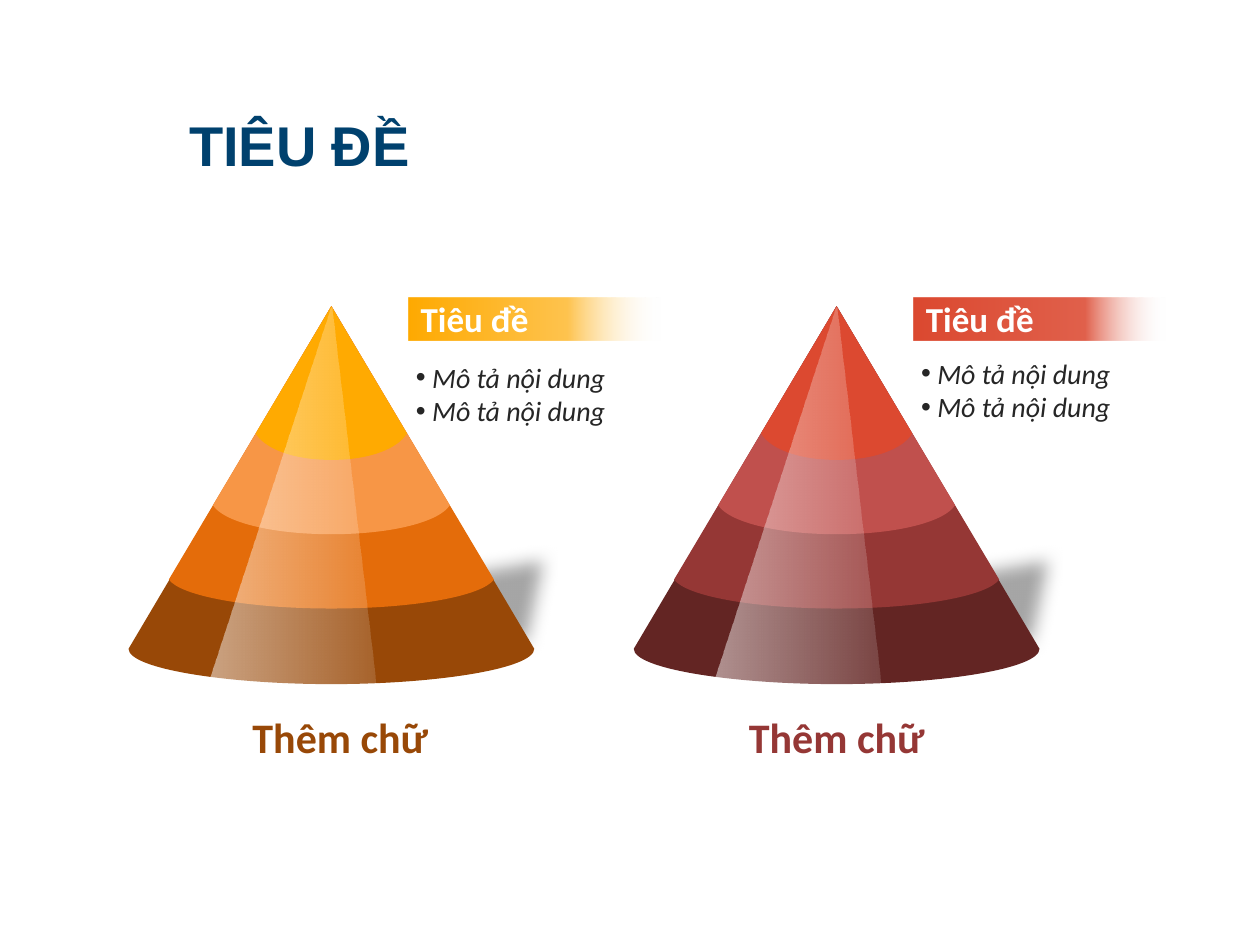
import dataclasses

import lxml.etree
import pptx
import pptx.dml.color
import pptx.enum.shapes
import pptx.enum.text
import pptx.oxml.ns
import pptx.util

qn = pptx.oxml.ns.qn
ALIGN = pptx.enum.text.PP_ALIGN
ANCHOR = pptx.enum.text.MSO_ANCHOR
UNIT = pptx.util.Inches(1)
COLUMNS, ROWS = 10, 7.5
APEX_ROW = 2.43


@dataclasses.dataclass(frozen=True)
class Theme:
    title_font: str = "Arial"
    body_font: str = "Calibri"
    title_size: int = 32
    caption_size: int = 24
    heading_size: int = 20
    bullet_size: int = 16
    title: str = "00416E"
    body: str = "262626"
    white: str = "FFFFFF"
    shadow: str = "A6A6A6"
    soft_edge: int = 10


@dataclasses.dataclass(frozen=True)
class Cone:
    center: float
    layers: tuple
    heading_fade: tuple
    heading_left: float
    bullet_height: float
    bullet_anchor: object
    caption_left: float
    caption_color: str


THEME = Theme()
LAYER_SIZES = ((1.61, 2.72, 0.28, 0), (1.29, 2.17, 0.23, 0.09),
               (0.94, 1.58, 0.23, 0.08), (0.6, 1.01, 0.21, 0.07))
CONES = (
    Cone(2.63, ("984807", "E46C0A", "F79646", "FFAA01"), (63, "FFC44F"),
         3.24, 0.64, ANCHOR.MIDDLE, 1.7, "984807"),
    Cone(6.64, ("632523", "953735", "C0504D", "DC4930"), (68, "E1614C"),
         7.25, 0.8, ANCHOR.TOP, 5.64, "953735"),
)


def grid(*cells):
    return [round(cell * UNIT) for cell in cells]


def rgb(color):
    return pptx.dml.color.RGBColor.from_string(color)


def fill_solid(shape, color):
    shape.fill.solid()
    shape.fill.fore_color.rgb = rgb(color)


def fill_gradient(shape, stops):
    shape.fill.gradient()
    shape.fill.gradient_angle = 0
    stop_list = shape.element.spPr.find(qn("a:gradFill")).find(qn("a:gsLst"))
    for stop in list(stop_list):
        stop_list.remove(stop)
    for position, color, opacity in stops:
        stop = lxml.etree.SubElement(stop_list, qn("a:gs"), pos=str(position * 1000))
        value = lxml.etree.SubElement(stop, qn("a:srgbClr"), val=color)
        if opacity < 100:
            lxml.etree.SubElement(value, qn("a:alpha"), val=str(opacity * 1000))


def soften(shape, points):
    effects = shape.element.spPr.find(qn("a:effectLst"))
    lxml.etree.SubElement(effects, qn("a:softEdge"), rad=str(pptx.util.Pt(points)))


def bend(shape, segments):
    lines = iter(list(shape.element.spPr.iter(qn("a:lnTo"))))
    for segment in segments:
        parts = [next(lines) for _ in segment]
        if len(parts) == 3:
            cubic = lxml.etree.Element(qn("a:cubicBezTo"))
            parts[0].addprevious(cubic)
            for part in parts:
                cubic.append(part[0])
                part.getparent().remove(part)


def add_outline(shapes, center, start, segments):
    builder = shapes.build_freeform(*grid(center + start[0], APEX_ROW + start[1]))
    builder.add_line_segments([grid(center + x, APEX_ROW + y)
                               for segment in segments for x, y in segment])
    shape = builder.convert_to_shape()
    bend(shape, segments)
    shape.shadow.inherit = False
    shape.line.fill.background()
    return shape


def layer_segments(half_width, edge, depth, inset):
    bottom = edge + depth
    right = [(half_width, edge), (half_width - inset, edge + 0.56 * depth),
             (half_width * 0.52, bottom), (0, bottom)]
    left = [(-x, y) for x, y in reversed(right[:-1])]
    return [right[:1], right[1:], left]


def add_cone(slide, cone):
    shapes = slide.shapes.add_group_shape().shapes
    shadow = add_outline(shapes, cone.center, (-0.58, 2.25),
                         [[(1.88, 1.83)], [(1.66, 2.88)]])
    fill_solid(shadow, THEME.shadow)
    soften(shadow, THEME.soft_edge)
    for color, size in zip(cone.layers, LAYER_SIZES):
        layer = add_outline(shapes, cone.center, (0, 0), layer_segments(*size))
        fill_solid(layer, color)
    glare = add_outline(shapes, cone.center, (0, 0), [
        [(0.35, 2.99)],
        [(0.24, 2.99), (0.12, 3), (0.01, 3)],
        [(-0.36, 3), (-0.69, 2.98), (-0.96, 2.94)],
        [(-0.01, 0.02)],
    ])
    fill_gradient(glare, [(0, THEME.white, 50), (100, THEME.white, 15)])


def write(shape, lines, font, size, color, align=ALIGN.LEFT,
          anchor=ANCHOR.MIDDLE, bold=False, italic=False, wrap=True):
    frame = shape.text_frame
    frame.text = "\n".join(lines)
    frame.word_wrap = wrap
    frame.vertical_anchor = anchor
    for paragraph in frame.paragraphs:
        paragraph.alignment = align
        for run in paragraph.runs:
            run.font.name = font
            run.font.size = pptx.util.Pt(size)
            run.font.color.rgb = rgb(color)
            run.font.bold = bold
            run.font.italic = italic
    return frame


def add_bullets(frame):
    frame.margin_left = frame.margin_right = frame.margin_bottom = 0
    for paragraph in frame.paragraphs:
        properties = paragraph._p.get_or_add_pPr()
        margin, indent = grid(0.19, -0.13)
        properties.set("marL", str(margin))
        properties.set("indent", str(indent))
        lxml.etree.SubElement(properties, qn("a:buFont"), typeface="Arial")
        lxml.etree.SubElement(properties, qn("a:buChar"), char="•")


def add_label(slide, cone):
    shapes = slide.shapes.add_group_shape().shapes
    heading = shapes.add_shape(pptx.enum.shapes.MSO_SHAPE.RECTANGLE,
                               *grid(cone.heading_left, 2.36, 2, 0.34))
    heading.shadow.inherit = False
    heading.line.fill.background()
    position, color = cone.heading_fade
    fill_gradient(heading, [(0, cone.layers[-1], 100), (position, color, 100),
                            (100, THEME.white, 0)])
    write(heading, ["Tiêu đề"], THEME.body_font, THEME.heading_size,
          THEME.white, bold=True)
    body = shapes.add_textbox(*grid(cone.heading_left, 2.78, 2, cone.bullet_height))
    add_bullets(write(body, ["Mô tả nội dung"] * 2, THEME.body_font,
                      THEME.bullet_size, THEME.body,
                      anchor=cone.bullet_anchor, italic=True))


def add_caption(slide, cone):
    caption = slide.shapes.add_textbox(*grid(cone.caption_left, 5.68, 2, 0.34))
    write(caption, ["Thêm chữ"], THEME.body_font, THEME.caption_size,
          cone.caption_color, align=ALIGN.CENTER, bold=True)


def set_title(slide):
    title = slide.shapes.title
    title.left, title.top, title.width, title.height = grid(1.4, 0.83, 1.97, 0.64)
    frame = write(title, ["TIÊU ĐỀ"], THEME.title_font, THEME.title_size,
                  THEME.title, anchor=ANCHOR.TOP, bold=True, wrap=False)
    frame.auto_size = pptx.enum.text.MSO_AUTO_SIZE.SHAPE_TO_FIT_TEXT


def main():
    presentation = pptx.Presentation()
    presentation.slide_width, presentation.slide_height = grid(COLUMNS, ROWS)
    slide = presentation.slides.add_slide(presentation.slide_layouts[5])
    set_title(slide)
    for add_part in (add_cone, add_label, add_caption):
        for cone in CONES:
            add_part(slide, cone)
    presentation.save("out.pptx")


if __name__ == "__main__":
    main()
